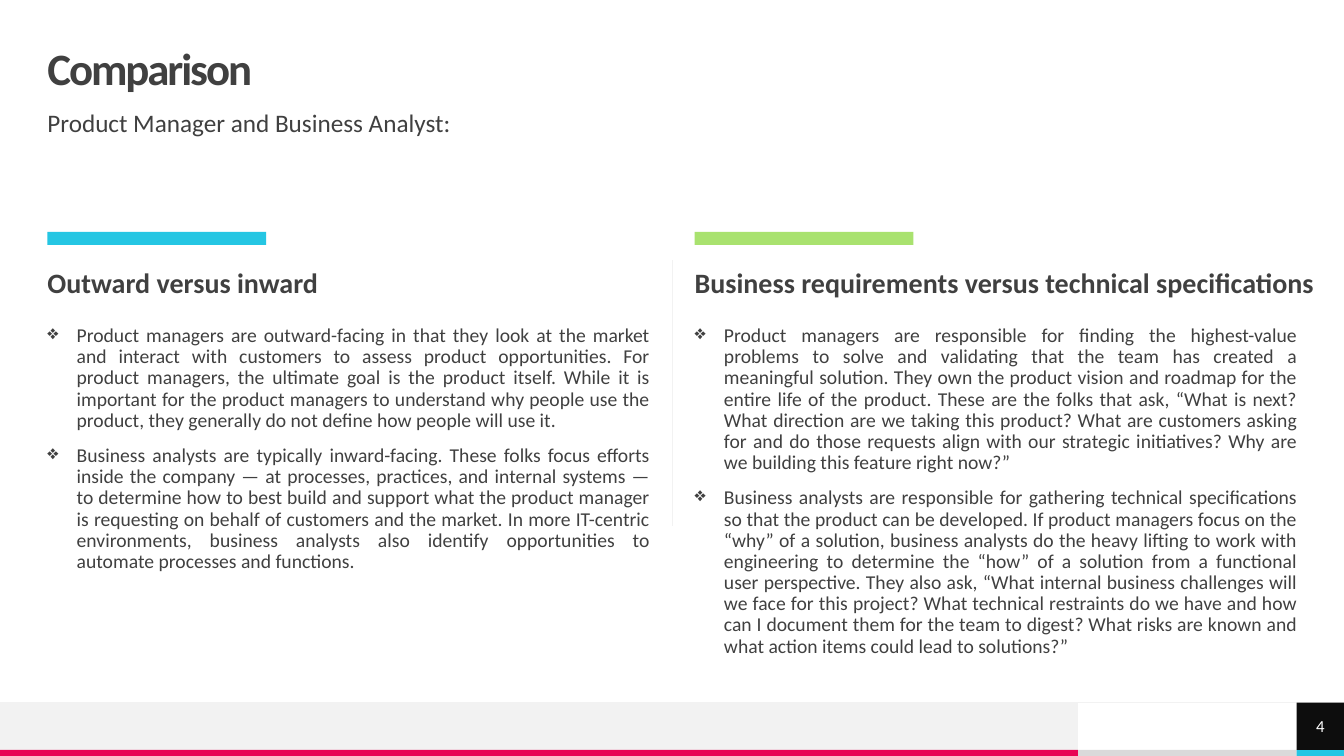
from lxml import etree
from pptx import Presentation
from pptx import util as u
from pptx.dml.color import RGBColor
from pptx.enum import shapes, text
from pptx.oxml.ns import qn

COLORS = {
    "cyan": "25C6E3",
    "green": "A9E26F",
    "pink": "E80554",
    "ink": "404040",
    "black": "0D0D0D",
    "white": "FFFFFF",
    "pale": "F2F2F2",
    "silver": "DADADA",
}
WIDTH, HEIGHT = 13.33, 7.5
MARGIN = 0.47
STRIP = 0.06
FULL = WIDTH - 2 * MARGIN
FOOTER = HEIGHT - STRIP - MARGIN
ACCENT = 2.17
NUMBER_LEFT = WIDTH - MARGIN
FOOTER_WIDTH = NUMBER_LEFT - ACCENT
INDENT = 0.29

deck = Presentation()
deck.slide_width = u.Inches(WIDTH)
deck.slide_height = u.Inches(HEIGHT)
page = deck.slides.add_slide(deck.slide_layouts[6])


def add_block(left, top, width, height, color):
    block = page.shapes.add_shape(
        shapes.MSO_SHAPE.RECTANGLE, *map(u.Inches, (left, top, width, height)))
    block.shadow.inherit = False
    block.fill.solid()
    block.fill.fore_color.rgb = RGBColor.from_string(COLORS[color])
    block.line.fill.background()
    return block


def add_span(para, words, size, color="ink", bold=False, spacing=0):
    span = para.add_run()
    span.text = words
    for name, value in {"name": "Calibri", "size": u.Pt(size), "bold": bold}.items():
        setattr(span.font, name, value)
    span.font.color.rgb = RGBColor.from_string(COLORS[color])
    if spacing:
        span._r.get_or_add_rPr().set("spc", str(round(spacing * 100)))


footer_blocks = [
    (FOOTER_WIDTH, HEIGHT - STRIP, ACCENT, STRIP, "silver"),
    (0, FOOTER, FOOTER_WIDTH, MARGIN, "pale"),
    (0, HEIGHT - STRIP, FOOTER_WIDTH, STRIP, "pink"),
    (NUMBER_LEFT, HEIGHT - STRIP, MARGIN, STRIP, "cyan"),
]
for block_values in footer_blocks:
    add_block(*block_values)

rules = [
    (WIDTH, FOOTER, 0, FOOTER),
    (WIDTH / 2, 2.58, WIDTH / 2, 5.22),
]
for ends in rules:
    rule = page.shapes.add_connector(
        shapes.MSO_CONNECTOR.STRAIGHT, *map(u.Inches, ends))
    rule.line.width = u.Pt(0.5)
    rule.line.color.rgb = RGBColor.from_string(COLORS["pale"])
    etree.SubElement(rule._element.spPr, qn("a:effectLst"))

columns = [
    (MARGIN, 5.98, "cyan", "Outward versus inward", [
        "Product managers are outward-facing in that they look at the market and interact with customers to assess product opportunities. For product managers, the ultimate goal is the product itself. While it is important for the product managers to understand why people use the product, they generally do not define how people will use it.",
        "Business analysts are typically inward-facing. These folks focus efforts inside the company — at processes, practices, and internal systems — to determine how to best build and support what the product manager is requesting on behalf of customers and the market. In more IT-centric environments, business analysts also identify opportunities to automate processes and functions.",
    ]),
    (6.89, 6.44, "green", "Business requirements versus technical specifications", [
        "Product managers are responsible for finding the highest-value problems to solve and validating that the team has created a meaningful solution. They own the product vision and roadmap for the entire life of the product. These are the folks that ask, “What is next? What direction are we taking this product? What are customers asking for and do those requests align with our strategic initiatives? Why are we building this feature right now?”",
        "Business analysts are responsible for gathering technical specifications so that the product can be developed. If product managers focus on the “why” of a solution, business analysts do the heavy lifting to work with engineering to determine the “how” of a solution from a functional user perspective. They also ask, “What internal business challenges will we face for this project? What technical restraints do we have and how can I document them for the team to digest? What risks are known and what action items could lead to solutions?”",
    ]),
]

passages = [
    (MARGIN, MARGIN, FULL, 0.47, ["Comparison"], 32, True, -1.5, False),
    (MARGIN, 1.1, FULL, 0.39, ["Product Manager and Business Analyst:"], 18, False, 0, False),
]
for left, heading_width, color, heading, points in columns:
    add_block(left, 2.3, ACCENT, 0.13, color)
    passages.append((left, 2.67, heading_width, 0.39, [heading], 20, True, 0, False))
    passages.append((left, 3.23, 5.98, 3.5, points, 14, False, 0, True))

for left, top, width, height, lines, size, bold, spacing, bulleted in passages:
    box = page.shapes.add_textbox(*map(u.Inches, (left, top, width, height)))
    frame = box.text_frame
    frame.word_wrap = True
    for side in ("left", "top", "right", "bottom"):
        setattr(frame, f"margin_{side}", 0)
    if size == 32:
        frame.vertical_anchor = text.MSO_ANCHOR.MIDDLE
    for index, line in enumerate(lines):
        para = frame.add_paragraph() if index else frame.paragraphs[0]
        para.line_spacing = 0.9
        para.space_before = u.Pt(0 if size == 32 else 10)
        add_span(para, line, size, bold=bold, spacing=spacing)
        if bulleted:
            para.alignment = text.PP_ALIGN.JUSTIFY
            settings = para._p.get_or_add_pPr()
            settings.set("marL", str(u.Inches(INDENT)))
            settings.set("indent", str(-u.Inches(INDENT)))
            etree.SubElement(settings, qn("a:buChar")).set("char", "❖")

number = add_block(NUMBER_LEFT, FOOTER, MARGIN, MARGIN, "black")
for side in ("left", "top", "right", "bottom"):
    setattr(number.text_frame, f"margin_{side}", 0)
number.text_frame.vertical_anchor = text.MSO_ANCHOR.MIDDLE
para = number.text_frame.paragraphs[0]
para.alignment = text.PP_ALIGN.CENTER
add_span(para, "4", 12, "white")

deck.save("out.pptx")
